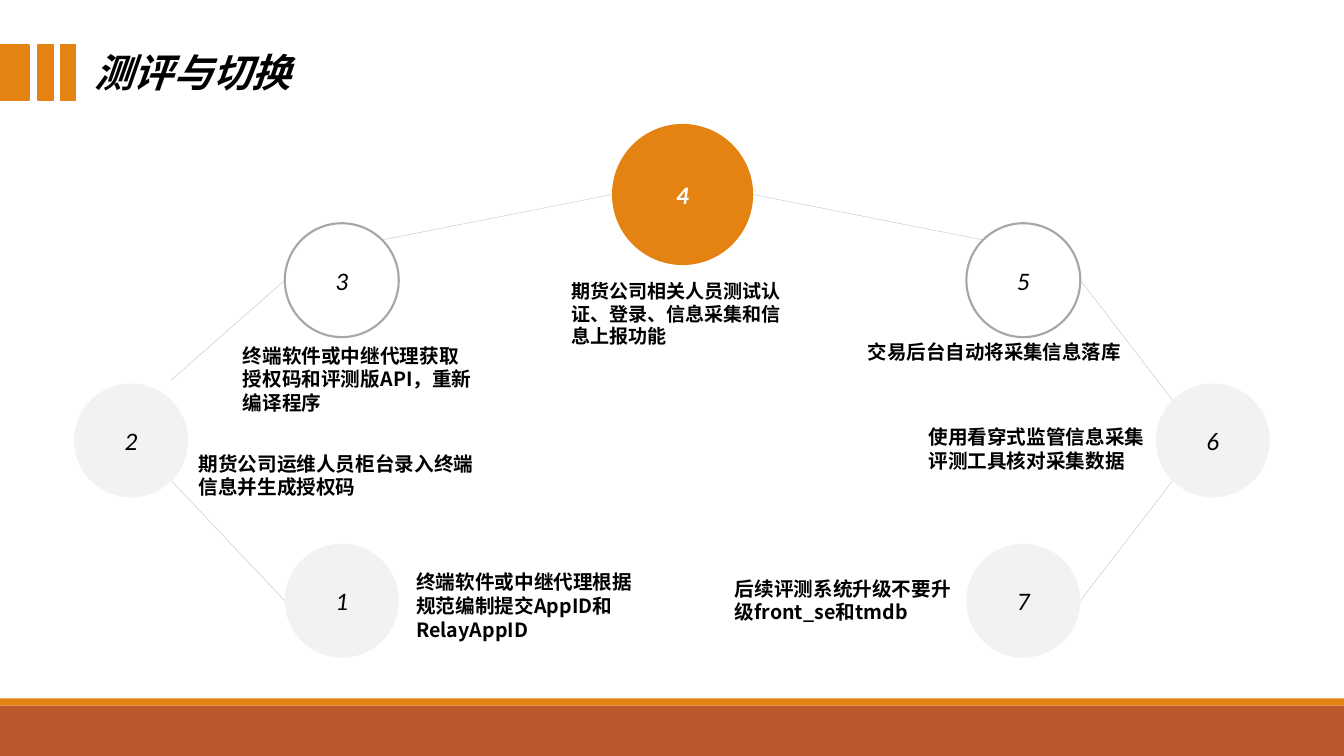
from math import hypot

from lxml import etree
from pptx import Presentation
from pptx.dml.color import RGBColor
from pptx.enum.shapes import MSO_CONNECTOR, MSO_SHAPE
from pptx.enum.text import MSO_ANCHOR, PP_ALIGN
from pptx.oxml.ns import qn
from pptx.util import Inches, Pt

RECT, OVAL = MSO_SHAPE.RECTANGLE, MSO_SHAPE.OVAL
STRAIGHT = MSO_CONNECTOR.STRAIGHT
LEFT, CENTER = PP_ALIGN.LEFT, PP_ALIGN.CENTER
TOP, MIDDLE = MSO_ANCHOR.TOP, MSO_ANCHOR.MIDDLE

WIDTH, HEIGHT = 13.33, 7.5
LATIN, CJK = "Calibri", "Noto Sans CJK SC"
COLORS = {
    "orange": "E48312", "rust": "BD582C", "white": "FFFFFF", "black": "000000",
    "pale": "F2F2F2", "ring": "A6A6A6", "link": "BFBFBF",
}

TITLE = "测评与切换"
TITLE_BOX = (0.84, 0.52, 5.22, 0.48)
TITLE_BARS = [(0, 0.29), (0.38, 0.15), (0.6, 0.15)]
FOOTER_BANDS = [(7, 0.5, "rust"), (6.93, 0.07, "orange")]

COLUMNS = {"far left": 1.3, "left": 3.39, "middle": 6.77, "right": 10.15, "far right": 12.03}
FIRST_ROW, ROW_PITCH = 2.78, 1.59
PEAK = 1.93
STYLES = {
    "plain": ("pale", None, "black", 1.13),
    "ringed": ("white", "ring", "black", 1.13),
    "key": ("orange", None, "white", 1.4),
}
STEPS = {
    1: ("left", 2, "plain"),
    2: ("far left", 1, "plain"),
    3: ("left", 0, "ringed"),
    4: ("middle", None, "key"),
    5: ("right", 0, "ringed"),
    6: ("far right", 1, "plain"),
    7: ("right", 2, "plain"),
}
LINKS = [
    (2, (1, 1), 1, (-1, 0), 0),
    (2, (1, -1), 3, (-1, 0), -0.2),
    (4, (-1, 0), 3, (1, -1), 0),
    (4, (1, 0), 5, (-1, -1), 0),
    (6, (-1, -1), 5, (1, 0), 0),
    (6, (-1, 1), 7, (1, 0), 0),
]
CAPTIONS = [
    ("终端软件或中继代理根据规范编制提交AppID和RelayAppID", (4.03, 5.61, 2.4, 0.77), 14, 1),
    ("期货公司运维人员柜台录入终端信息并生成授权码", (1.87, 4.43, 2.95, 0.55), 14, 1),
    ("终端软件或中继代理获取授权码和评测版API，重新编译程序", (2.31, 3.36, 2.52, 0.81), 14, 1),
    ("期货公司相关人员测试认证、登录、信息采集和信息上报功能", (5.57, 2.72, 2.35, 0.68), 13.6, 1),
    ("交易后台自动将采集信息落库", (8.51, 3.39, 2.76, 0.29), 13.9, 0.7),
    ("使用看穿式监管信息采集评测工具核对采集数据", (9.11, 4.17, 2.35, 0.57), 14, 1),
    ("后续评测系统升级不要升级front_se和tmdb", (7.19, 5.67, 2.4, 0.57), 14, 1),
]


def rgb(name):
    return RGBColor.from_string(COLORS[name])


def write(frame, text, face, size, color="black", bold=False, italic=False,
          align=LEFT, anchor=TOP, spacing=1.0):
    frame.word_wrap = True
    frame.vertical_anchor = anchor
    frame.text = text
    paragraph = frame.paragraphs[0]
    paragraph.alignment = align
    paragraph.line_spacing = float(spacing)
    font = paragraph.font
    font.name, font.size, font.bold, font.italic = face, Pt(size), bold, italic
    font.color.rgb = rgb(color)
    defaults = paragraph._p.pPr.find(qn("a:defRPr"))
    etree.SubElement(defaults, qn("a:ea")).set("typeface", face)


def add_block(slide, kind, box, fill, line=None, weight=1.5):
    block = slide.shapes.add_shape(kind, *map(Inches, box))
    block.shadow.inherit = False
    block.fill.solid()
    block.fill.fore_color.rgb = rgb(fill)
    if line:
        block.line.color.rgb = rgb(line)
        block.line.width = Pt(weight)
    else:
        block.line.fill.background()
    return block


def step_center(step):
    column, row, _ = STEPS[step]
    return COLUMNS[column], PEAK if row is None else FIRST_ROW + row * ROW_PITCH


def rim_point(step, direction):
    x, y = step_center(step)
    radius = STYLES[STEPS[step][2]][3] / 2
    dx, dy = direction
    reach = radius / hypot(dx, dy)
    return x + dx * reach, y + dy * reach


def add_link(slide, start, start_side, end, end_side, lift):
    x1, y1 = rim_point(start, start_side)
    x2, y2 = rim_point(end, end_side)
    link = slide.shapes.add_connector(STRAIGHT, *map(Inches, (x1, y1 + lift, x2, y2)))
    link.line.color.rgb = rgb("link")
    link.line.width = Pt(0.25)
    etree.SubElement(link._element.spPr, qn("a:effectLst"))


def add_step(slide, step):
    x, y = step_center(step)
    style = STEPS[step][2]
    fill, line, ink, size = STYLES[style]
    circle = add_block(slide, OVAL, (x - size / 2, y - size / 2, size, size), fill, line)
    write(circle.text_frame, str(step), LATIN, 18, ink, bold=style == "key",
          italic=True, align=CENTER, anchor=MIDDLE)


def main():
    deck = Presentation()
    deck.slide_width, deck.slide_height = Inches(WIDTH), Inches(HEIGHT)
    slide = deck.slides.add_slide(deck.slide_layouts[5])

    for top, height, color in FOOTER_BANDS:
        add_block(slide, RECT, (0, top, WIDTH, height), color)
    for left, width in TITLE_BARS:
        add_block(slide, RECT, (left, 0.45, width, 0.54), "orange", "orange", 1.25)

    title = slide.shapes.title
    title.left, title.top, title.width, title.height = map(Inches, TITLE_BOX)
    write(title.text_frame, TITLE, LATIN, 28, bold=True, italic=True, spacing=0.8)

    for link in LINKS:
        add_link(slide, *link)
    for step in STEPS:
        add_step(slide, step)
    for text, box, size, spacing in CAPTIONS:
        caption = slide.shapes.add_textbox(*map(Inches, box))
        write(caption.text_frame, text, CJK, size, bold=True, spacing=spacing)

    deck.save("out.pptx")


if __name__ == "__main__":
    main()
